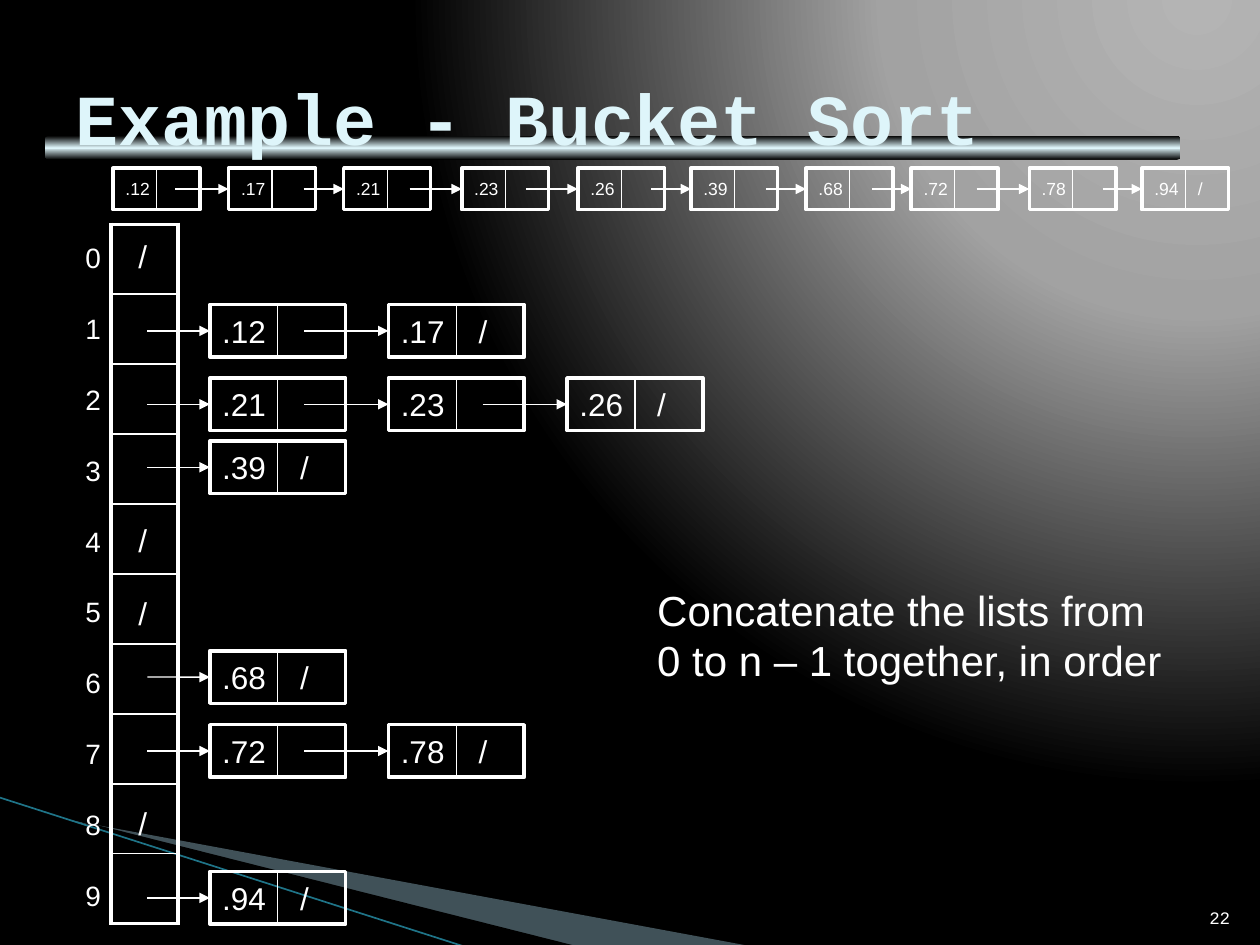
from lxml import etree
from pptx import Presentation
from pptx.dml.color import RGBColor
from pptx.enum.shapes import MSO_CONNECTOR as CONN, MSO_SHAPE as SHAPE
from pptx.enum.text import MSO_ANCHOR as ANCHOR, PP_ALIGN as ALIGN
from pptx.oxml import parse_xml
from pptx.oxml.ns import nsdecls, qn
from pptx.util import Cm, Pt

WHITE = RGBColor(0xFF, 0xFF, 0xFF)
BLACK = RGBColor(0, 0, 0)
ICE = RGBColor(0xDE, 0xF5, 0xFA)
SKY = RGBColor(0xA0, 0xCB, 0xDC)
TEAL = RGBColor(0x1F, 0x74, 0x88)
LIGHT_GRAY = RGBColor(0xB4, 0xB4, 0xB4)
GRAY = RGBColor(0xA2, 0xA2, 0xA2)

END = "\t/"
BUCKETS = {
    1: (6.14, [".12", ".17" + END]),
    2: (7.62, [".21", ".23", ".26" + END]),
    3: (8.89, [".39" + END]),
    6: (13.12, [".68" + END]),
    7: (14.61, [".72", ".78" + END]),
    9: (17.57, [".94" + END]),
}
EMPTY_TOPS = [4.65, 10.37, 11.85, 16.09]
SORTED_NODES = [
    (".12", 2.28, None), (".17", 4.61, 3.53), (".21", 6.93, 6.12),
    (".23", 9.31, 8.26), (".26", 11.65, 10.6), (".39", 13.93, 13.12),
    (".68", 16.25, 15.44), (".72", 18.37, 17.58), (".78", 20.75, 19.69),
    (".94" + END, 23.02, 22.23),
]


def gradient(stops, direction):
    gs = "".join(f'<a:gs pos="{pos * 1000}"><a:srgbClr val="{color}"/></a:gs>'
                 for pos, color in stops)
    return parse_xml(f'<a:gradFill {nsdecls("a")} rotWithShape="1">'
                     f'<a:gsLst>{gs}</a:gsLst>{direction}</a:gradFill>')


def set_background(s):
    s.background.fill.solid()
    bg_pr = s.background._cSld.bg.bgPr
    fill = gradient(
        [(0, LIGHT_GRAY), (40, GRAY), (100, BLACK)],
        '<a:path path="circle"><a:fillToRect l="95000" t="-106000" '
        'r="5000" b="206000"/></a:path>')
    bg_pr.replace(bg_pr[0], fill)


def add_text(s, lines, x, y, w, h, size, font="Arial", color=WHITE, bold=False,
             wrap=False, anchor=ANCHOR.TOP, align=ALIGN.LEFT):
    sp = s.shapes.add_textbox(Cm(x), Cm(y), Cm(w), Cm(h))
    tf = sp.text_frame
    tf.word_wrap = wrap
    tf.vertical_anchor = anchor
    tf.text = lines
    for p in tf.paragraphs:
        p.alignment = align
        f = p.runs[0].font
        f.name, f.size, f.bold = font, Pt(size), bold
        f.color.rgb = color


def add_line(s, x1, y1, x2, y2, color=WHITE, width=0.75):
    sp = s.shapes.add_connector(CONN.STRAIGHT, Cm(x1), Cm(y1), Cm(x2), Cm(y2))
    sp.line.color.rgb = color
    sp.line.width = Pt(width)
    etree.SubElement(sp._element.spPr, qn("a:effectLst"))
    return sp


def add_arrow(s, start, x, y, box):
    sp = add_line(s, start, y, x, y)
    etree.SubElement(sp.line._get_or_add_ln(), qn("a:tailEnd"), type="triangle")
    sp.end_connect(box, 1)


def add_node(s, text, x, y, w, h, size, tab, start=None):
    box = s.shapes.add_shape(SHAPE.RECTANGLE, Cm(x), Cm(y), Cm(w), Cm(h))
    box.shadow.inherit = False
    box.fill.background()
    box.line.color.rgb = WHITE
    box.line.width = Pt(2)
    tf = box.text_frame
    tf.word_wrap = True
    tf.vertical_anchor = ANCHOR.MIDDLE
    p = tf.paragraphs[0]
    p.text = text
    p.alignment = ALIGN.LEFT
    if END in text:
        tabs = etree.SubElement(p._p.get_or_add_pPr(), qn("a:tabLst"))
        etree.SubElement(tabs, qn("a:tab"), pos=str(Cm(tab)), algn="l")
    for r in p.runs:
        r.font.name, r.font.size = "Arial", Pt(size)
        r.font.color.rgb = WHITE
    divider = add_line(s, x + w / 2, y, x + w / 2, y + h)
    divider.begin_connect(box, 0)
    divider.end_connect(box, 2)
    if start is not None:
        add_arrow(s, start, x, y + h / 2, box)


def add_wedge(s, points, color, alpha=None):
    pts = [(Cm(x), Cm(y)) for x, y in points]
    builder = s.shapes.build_freeform(*pts[0], scale=1.0)
    builder.add_line_segments(pts[1:], close=True)
    sp = builder.convert_to_shape()
    sp.shadow.inherit = False
    sp.line.fill.background()
    sp.fill.solid()
    sp.fill.fore_color.rgb = color
    if alpha:
        clr = sp._element.spPr.find(qn("a:solidFill"))[0]
        etree.SubElement(clr, qn("a:alpha"), val=str(alpha * 1000))


def add_title_bar(s):
    sp = s.shapes.add_shape(SHAPE.ROUNDED_RECTANGLE, Cm(0.91), Cm(2.74),
                            Cm(22.89), Cm(0.48))
    sp.shadow.inherit = False
    sp.line.fill.background()
    sp.fill.solid()
    sp_pr = sp._element.spPr
    sp_pr.replace(sp_pr.find(qn("a:solidFill")),
                  gradient([(0, BLACK), (50, ICE), (100, BLACK)],
                           '<a:lin ang="5400000" scaled="0"/>'))


def set_borders(cell, widths):
    tc_pr = cell._tc.get_or_add_tcPr()
    for i, (side, width) in enumerate(widths.items()):
        tc_pr.insert(i, parse_xml(
            f'<a:ln{side} {nsdecls("a")} w="{Pt(width)}"><a:solidFill>'
            f'<a:srgbClr val="{WHITE}"/></a:solidFill></a:ln{side}>'))


def add_bucket_table(s, count):
    table = s.shapes.add_table(count, 1, Cm(2.24), Cm(4.52),
                               Cm(1.35), Cm(1.41 * count)).table
    table.first_row = table.horz_banding = False
    for i, row in enumerate(table.rows):
        row.height = Cm(1.41)
        cell = row.cells[0]
        cell.fill.background()
        set_borders(cell, {"L": 2.25, "R": 2.25, "T": 1 if i else 2.25,
                           "B": 1 if i < count - 1 else 2.25})


def add_bucket_list(s, y, nodes):
    for i, text in enumerate(nodes):
        x = 4.23 + 3.6 * i
        start = x - 1.7 if i else 2.97
        add_node(s, text, x, y, 2.74, 1.06, 18, 1.57, start)


def main():
    prs = Presentation()
    prs.slide_width, prs.slide_height = Cm(25.4), Cm(19.05)
    s = prs.slides.add_slide(prs.slide_layouts[6])
    set_background(s)
    add_wedge(s, [(1.4, 16.53), (15.11, 19.07), (11.58, 19.07)], SKY, 40)
    add_wedge(s, [(1.35, 16.48), (11.61, 19.07), (9.45, 19.1)], BLACK)
    add_line(s, 0, 16.08, 9.42, 19.1, TEAL, 0.95)
    add_title_bar(s)
    add_bucket_table(s, 10)
    add_text(s, "22", 24.03, 17.81, 1.02, 1.02, 10, "Courier New",
             anchor=ANCHOR.BOTTOM, align=ALIGN.RIGHT)
    add_text(s, "Example - Bucket Sort", 1.27, 0.76, 22.86, 3.18, 41,
             "Courier New", ICE, True, True, ANCHOR.MIDDLE)
    for i in range(10):
        add_text(s, str(i), 1.47, 4.72 + 1.43 * i, 0.81, 0.94, 16)
    for y, nodes in BUCKETS.values():
        add_bucket_list(s, y, nodes)
    for y in EMPTY_TOPS:
        add_text(s, "/", 2.54, y, 0.69, 1.02, 18)
    for text, x, start in SORTED_NODES:
        add_node(s, text, x, 3.39, 1.75, 0.84, 10, 0.88, start)
    add_text(s, "Concatenate the lists from\n0 to n – 1 together, in order",
             13, 11.66, 10.72, 2.29, 24)
    prs.save("out.pptx")


if __name__ == "__main__":
    main()
